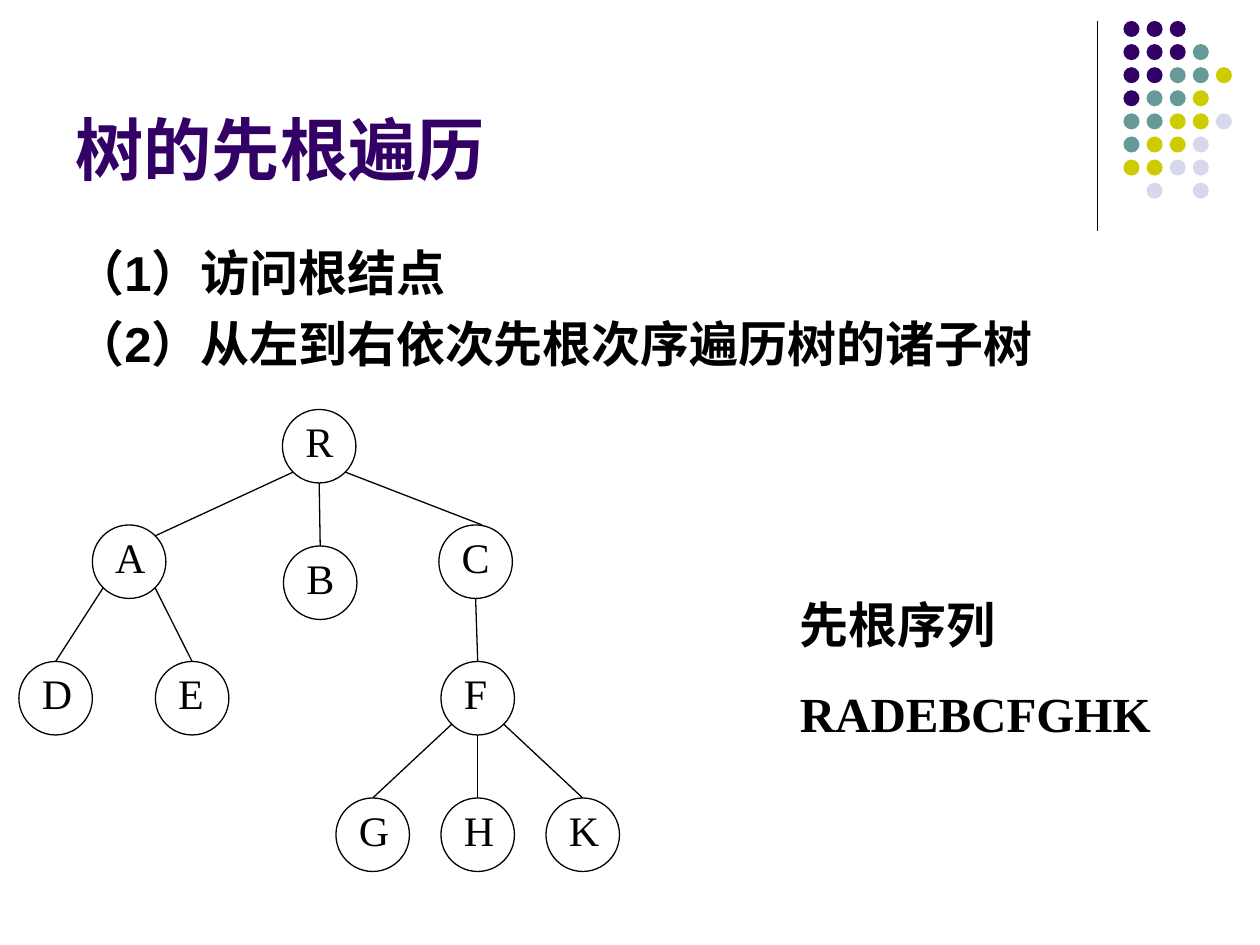
"""Build a slide on the preorder traversal of a tree."""
from dataclasses import dataclass

from lxml import etree
from pptx import Presentation
from pptx.dml.color import RGBColor
from pptx.enum.shapes import MSO_CONNECTOR, MSO_SHAPE
from pptx.enum.text import MSO_ANCHOR
from pptx.oxml.ns import qn
from pptx.util import Inches, Pt

OVAL = MSO_SHAPE.OVAL
STRAIGHT = MSO_CONNECTOR.STRAIGHT
TOP, BOTTOM = MSO_ANCHOR.TOP, MSO_ANCHOR.BOTTOM

WIDTH, HEIGHT = Inches(10), Inches(7.5)
COLUMNS, ROWS = 120, 90


@dataclass(frozen=True)
class Theme:
    """Colours, fonts and type sizes of the slide."""
    purple: RGBColor = RGBColor(0x33, 0x00, 0x66)
    teal: RGBColor = RGBColor(0x66, 0x99, 0x99)
    yellow: RGBColor = RGBColor(0xCC, 0xCC, 0x00)
    lilac: RGBColor = RGBColor(0xD8, 0xD8, 0xEC)
    black: RGBColor = RGBColor(0x00, 0x00, 0x00)
    sans: str = "Arial"
    serif: str = "Times New Roman"
    heading: str = "Roboto"
    title_size: Pt = Pt(39)
    body_size: Pt = Pt(28)
    node_size: Pt = Pt(24)
    line_width: Pt = Pt(0.75)


THEME = Theme()

DOT_COLOURS = {"P": THEME.purple, "T": THEME.teal,
               "Y": THEME.yellow, "L": THEME.lilac}
DOT_ROWS = ["PPP", "PPPT", "PPTTY", "PTTY", "TTYYL", "TYYL", "YYLL", ".L.L"]
DOT_LEFT, DOT_TOP, DOT_PITCH, DOT_SIZE = 107, 2, 2.2, 1.53

NODE_SIZE = 7
NODES = {
    "R": (26.9, 39, 5), "A": (8.8, 50, 5.3), "B": (27, 52, 5),
    "C": (41.8, 50, 5), "D": (1.8, 63, 5.3), "E": (14.8, 63, 4.8),
    "F": (42, 63, 4.6), "G": (32, 76, 5.3), "H": (42, 76, 5.3),
    "K": (52, 76, 5.3),
}
SITES = {
    "top": (0.5, 0), "right of top": (0.59, 0), "upper right": (0.85, 0.15),
    "bottom": (0.5, 1), "lower left": (0.15, 0.85),
    "lower right": (0.85, 0.85),
}
EDGES = [
    ("R", "lower left", "A", "upper right"),
    ("R", "bottom", "B", "top"),
    ("R", "lower right", "C", "right of top"),
    ("A", "lower left", "D", "top"),
    ("A", "lower right", "E", "top"),
    ("C", "bottom", "F", "top"),
    ("F", "lower left", "G", "top"),
    ("F", "bottom", "H", "top"),
    ("F", "lower right", "K", "top"),
]


def grid(*lengths):
    """Turn alternating columns and rows into slide lengths."""
    cells = (WIDTH / COLUMNS, HEIGHT / ROWS)
    return [round(length * cells[index % 2])
            for index, length in enumerate(lengths)]


def add_line(page, start, end):
    """Draw a thin straight line between two grid points."""
    line = page.shapes.add_connector(STRAIGHT, *grid(*start, *end))
    line.line.color.rgb = THEME.black
    line.line.width = THEME.line_width
    etree.SubElement(line._element.spPr, qn("a:effectLst"))


def add_circle(page, left, top, size, fill=None):
    """Draw a filled dot, or an outlined circle when no fill is given."""
    circle = page.shapes.add_shape(OVAL, *grid(left, top, size, size))
    circle.shadow.inherit = False
    if fill is None:
        circle.fill.background()
        circle.line.color.rgb = THEME.black
        circle.line.width = THEME.line_width
    else:
        circle.fill.solid()
        circle.fill.fore_color.rgb = fill
        circle.line.fill.background()


def add_text(page, place, lines, formats, colour=THEME.black, gap=0,
             hanging=0, wrap=True, anchor=TOP):
    """Add a text box with one paragraph and one format for each line."""
    box = page.shapes.add_textbox(*grid(*place))
    frame = box.text_frame
    frame.word_wrap = wrap
    frame.vertical_anchor = anchor
    for index, (text, values) in enumerate(zip(lines, formats)):
        para = frame.add_paragraph() if index else frame.paragraphs[0]
        if index:
            para.space_before = Pt(gap)
        if hanging:
            settings = para._p.get_or_add_pPr()
            settings.set("marL", str(Inches(hanging)))
            settings.set("indent", str(-Inches(hanging)))
        span = para.add_run()
        span.text = text
        for name, value in values.items():
            setattr(span.font, name, value)
        span.font.color.rgb = colour


def add_dots(page):
    """Draw the corner ornament of coloured dots."""
    for row, codes in enumerate(DOT_ROWS):
        for column, code in enumerate(codes):
            if code in DOT_COLOURS:
                add_circle(page, DOT_LEFT + column * DOT_PITCH,
                           DOT_TOP + row * DOT_PITCH, DOT_SIZE,
                           DOT_COLOURS[code])


def node_site(name, site):
    """Return the grid point of a connection site on a node."""
    left, top, _ = NODES[name]
    across, down = SITES[site]
    return left + across * NODE_SIZE, top + down * NODE_SIZE


def add_tree(page):
    """Draw the edges and the lettered nodes of the tree."""
    for parent, start, child, end in EDGES:
        add_line(page, node_site(parent, start), node_site(child, end))
    letter = {"name": THEME.serif, "size": THEME.node_size}
    for name, (left, top, width) in NODES.items():
        add_circle(page, left, top, NODE_SIZE)
        add_text(page, (left + 1, top, width, 6), [name], [letter], wrap=False)


def main():
    """Build and save the deck."""
    deck = Presentation()
    deck.slide_width, deck.slide_height = WIDTH, HEIGHT
    page = deck.slides.add_slide(deck.slide_layouts[6])
    title = {"name": THEME.sans, "size": THEME.title_size, "bold": True}
    body = {**title, "size": THEME.body_size}

    add_line(page, (104.5, 2), (104.5, 22))
    add_dots(page)
    add_text(page, (6, 1.6, 99, 17), ["树的先根遍历"], [title],
             colour=THEME.purple, anchor=BOTTOM)
    add_text(page, (6, 22.5, 108, 57.8),
             ["（1）访问根结点", "（2）从左到右依次先根次序遍历树的诸子树"],
             [body, body], gap=7, hanging=0.38)
    add_tree(page)
    add_text(page, (75, 56, 38.3, 15.4), ["先根序列", "RADEBCFGHK"],
             [{**body, "name": THEME.heading}, {**body, "name": THEME.serif}],
             gap=17.5)
    deck.save("out.pptx")


if __name__ == "__main__":
    main()
